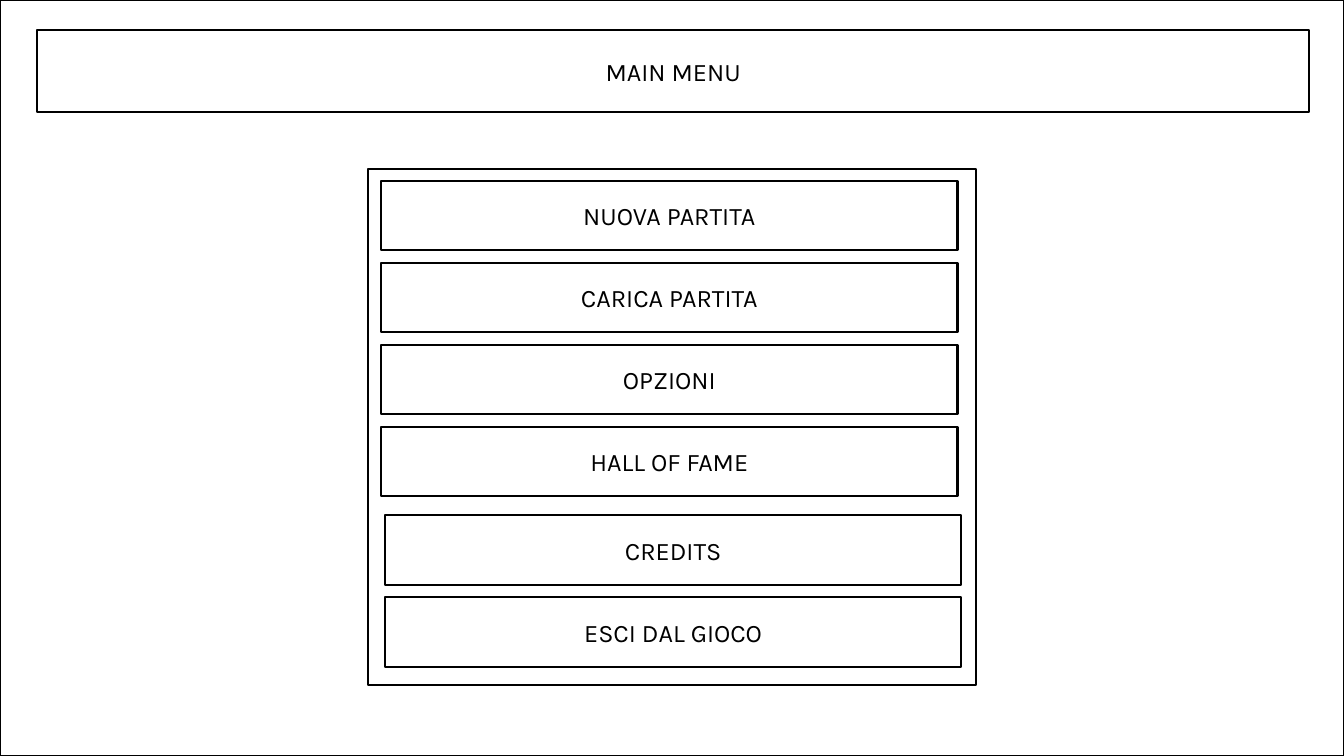
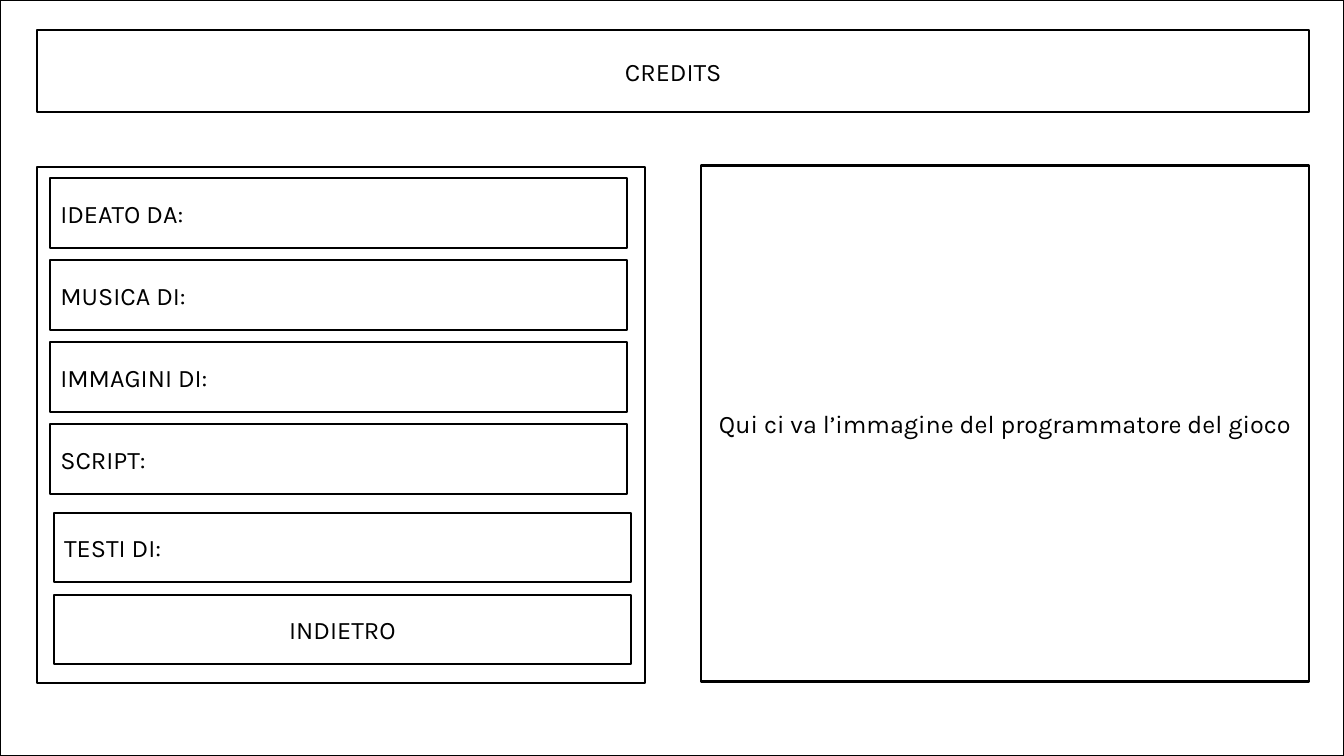
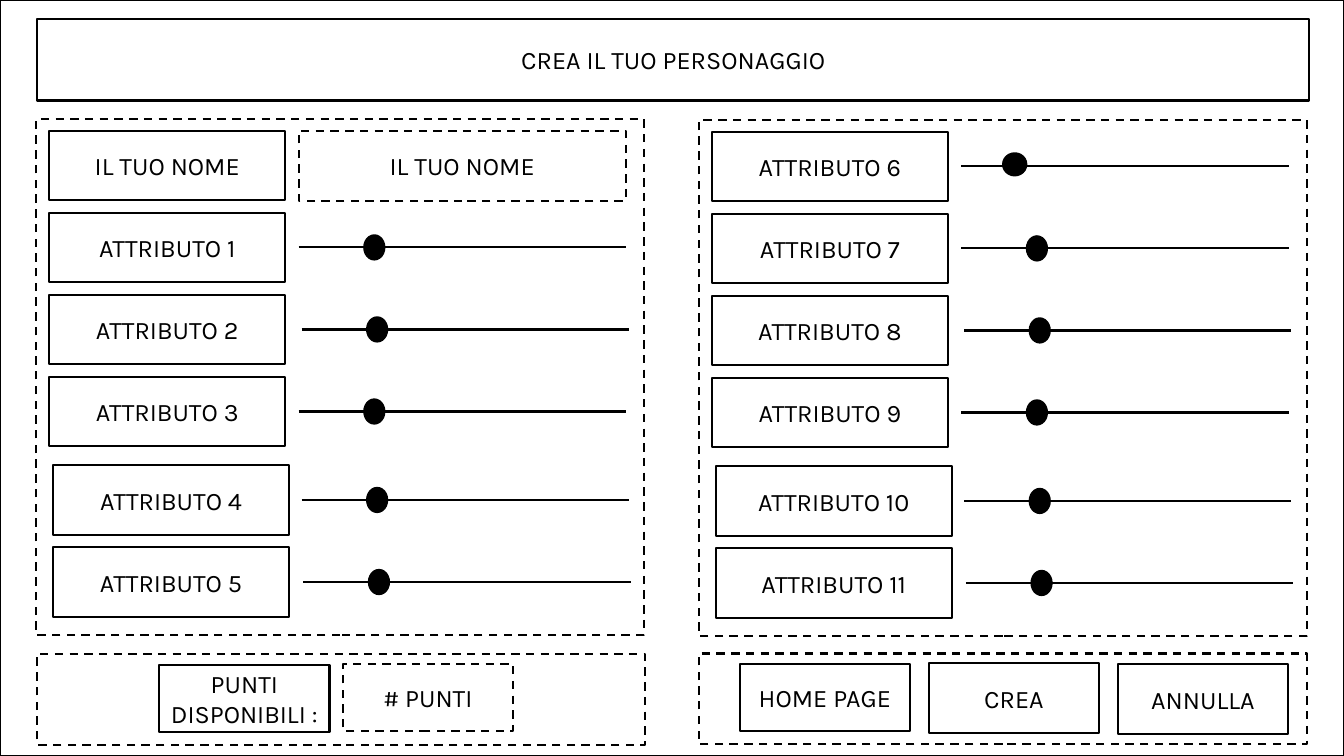
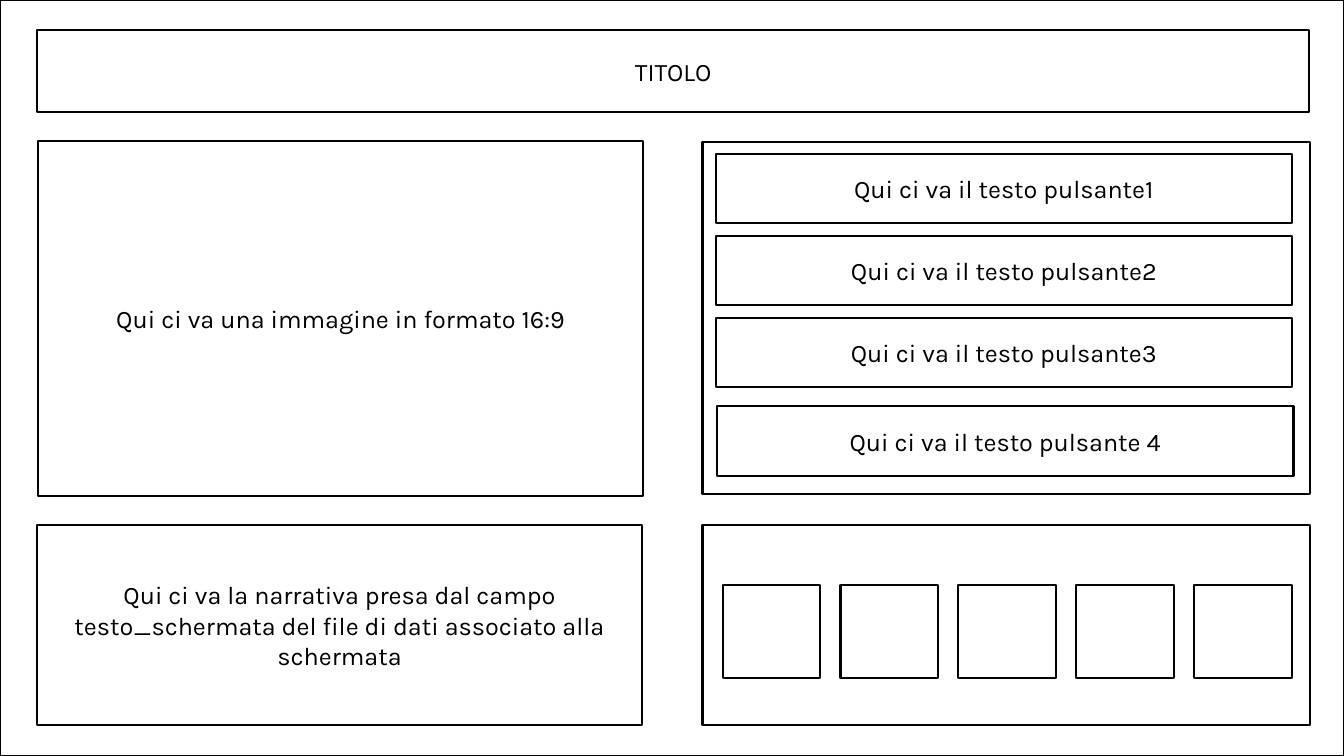
from pptx import Presentation
from pptx.dml.color import RGBColor
from pptx.enum.dml import MSO_LINE
from pptx.enum.shapes import MSO_CONNECTOR, MSO_SHAPE
from pptx.enum.text import MSO_ANCHOR, PP_ALIGN
from pptx.oxml.ns import qn
from pptx.util import Pt
from lxml import etree

RECT, OVAL = MSO_SHAPE.RECTANGLE, MSO_SHAPE.OVAL
LINE, DASH = MSO_CONNECTOR.STRAIGHT, MSO_LINE.DASH
LEFT, MID = PP_ALIGN.LEFT, PP_ALIGN.CENTER
CENTRE = MSO_ANCHOR.MIDDLE

COLOR = {"ink": "000000", "paper": "FFFFFF"}
FONT, SIZE, STROKE = "Karla", 18, 1.5
WIDE, HIGH = 960, 540
EDGE = 26.6                 # left margin
PANEL_W, PANEL_H = 434.2, 368.6
ROW_W, ROW_H = 411.8, 49.7
LABEL_W, TRACK_W = 168.5, 233.8
PAD_X, PAD_Y = 9.4, 8.3     # first row inside a panel
STEP, GAP = 58.6, 4.6       # row pitch, extra gap before the last rows


def rgb(name):
    return RGBColor.from_string(COLOR[name])


def draw(shapes, kind, x, y, w, h, fill="paper", dash=False):
    shape = shapes.add_shape(kind, Pt(x), Pt(y), Pt(w), Pt(h))
    shape.shadow.inherit = False
    shape.fill.solid()
    shape.fill.fore_color.rgb = rgb(fill)
    shape.line.color.rgb = rgb("ink")
    shape.line.width = Pt(STROKE)
    if dash:
        shape.line.dash_style = DASH
    return shape


def box(shapes, x, y, w, h, text="", align=MID, dash=False):
    shape = draw(shapes, RECT, x, y, w, h, dash=dash)
    if text:
        frame = shape.text_frame
        frame.text = text
        frame.word_wrap = True
        frame.vertical_anchor = CENTRE
        para = frame.paragraphs[0]
        para.alignment = align
        font = para.runs[0].font
        font.name, font.size = FONT, Pt(SIZE)
        font.color.rgb = rgb("ink")


def track(shapes, x, y, knob=46.8, w=14.4, h=17.3, lift=0):
    """Slider: a line from (x, y) with a round knob on it."""
    line = shapes.add_connector(LINE, Pt(x), Pt(y), Pt(x + TRACK_W), Pt(y))
    line.line.color.rgb = rgb("ink")
    line.line.width = Pt(STROKE)
    etree.SubElement(line._element.spPr, qn("a:effectLst"))
    draw(shapes, OVAL, x + knob, y - h / 2 - lift, w, h, fill="ink")


def spots(x, y, count, split=4, shift=2.7):
    """Row corners in a panel; rows from split on sit lower and to the right."""
    for i in range(count):
        late = i >= split
        yield (x + PAD_X + shift * late,
               y + PAD_Y + STEP * i + GAP * late)


def rows(shapes, x, y, items, h=PANEL_H, split=4, shift=2.7):
    """Panel with a stack of (text, alignment) buttons."""
    box(shapes, x, y, PANEL_W, h)
    for (left, top), (text, align) in zip(
            spots(x, y, len(items), split, shift), items):
        box(shapes, left, top, ROW_W, ROW_H, text, align)


def traits(shapes, x, y, names):
    """Dashed panel of labels, with a slider beside all but the first."""
    box(shapes, x, y, PANEL_W, PANEL_H, dash=True)
    places = list(spots(x, y, len(names)))
    for (left, top), name in zip(places, names):
        box(shapes, left, top, LABEL_W, ROW_H, name)
    starts = (187.5, 189.5, 187.5, 189.5, 190.8)
    for (left, top), start in zip(places[1:], starts):
        track(shapes, x + start, top + ROW_H / 2)


def strip(shapes, x, y, cells):
    """Dashed bar of (left, top, height, text, dash) cells."""
    box(shapes, x, y, PANEL_W, 64.8, dash=True)
    for left, top, h, text, dash in cells:
        box(shapes, x + left, y + top, 121.7, h, text, dash=dash)


def slots(shapes, x, y, count=5):
    """Panel with a row of empty squares."""
    box(shapes, x, y, PANEL_W, 142.6)
    for i in range(count):
        box(shapes, x + 14.4 + 84.2 * i, y + 42.5, 69.8, 67)


def page(deck, title, top=21.6):
    """New slide with its outer frame and title bar."""
    shapes = deck.slides.add_slide(deck.slide_layouts[6]).shapes
    box(shapes, 0, 0, WIDE, HIGH)
    box(shapes, EDGE, top, 908.6, 58.3, title)
    return shapes


def menu(deck):
    shapes = page(deck, "MAIN MENU")
    names = ("NUOVA PARTITA", "CARICA PARTITA", "OPZIONI",
             "HALL OF FAME", "CREDITS", "ESCI DAL GIOCO")
    rows(shapes, 262.8, 120.7, [(name, MID) for name in names])


def credits(deck):
    shapes = page(deck, "CREDITS")
    names = ("IDEATO DA:", "MUSICA DI:", "IMMAGINI DI:",
             "SCRIPT:", "TESTI DI:")
    items = [(name, LEFT) for name in names] + [("INDIETRO", MID)]
    rows(shapes, EDGE, 119, items)
    box(shapes, 500.8, 118.2, PANEL_W, PANEL_H,
        "Qui ci va l’immagine del programmatore del gioco")


def hero(deck):
    shapes = page(deck, "CREA IL TUO PERSONAGGIO", 13.5)
    right = 499.2
    # Bottom bars
    strip(shapes, EDGE, 467.2, [
        (87.1, 8, 47.5, "PUNTI DISPONIBILI :", False),
        (218.2, 7.2, 47.5, "# PUNTI", True)])
    strip(shapes, right, 466.8, [
        (29.2, 7.6, 47.5, "HOME PAGE", False),
        (164.2, 7, ROW_H, "CREA", False),
        (299.2, 7.6, ROW_H, "ANNULLA", False)])
    # Name and attributes 1 to 5
    group = shapes.add_group_shape().shapes
    traits(group, 25.9, 85,
           ["IL TUO NOME"] + [f"ATTRIBUTO {n}" for n in range(1, 6)])
    box(group, 213.3, 93.6, TRACK_W, ROW_H, "IL TUO NOME", dash=True)
    # Attributes 6 to 11
    group = shapes.add_group_shape().shapes
    traits(group, right, 85.7, [f"ATTRIBUTO {n}" for n in range(6, 12)])
    track(shapes, right + 187.5, 118.6, knob=29.8, w=16.6, h=15.8, lift=1.2)


def scene(deck):
    shapes = page(deck, "TITOLO")
    right, low = 501.8, 375.1
    # Picture and story
    box(shapes, 27.4, 100.8, 432, 253.4,
        "Qui ci va una immagine in formato 16:9")
    box(shapes, EDGE, low, 432, 142.6,
        "Qui ci va la narrativa presa dal campo testo_schermata "
        "del file di dati associato alla schermata")
    # Buttons and squares
    names = ("pulsante1", "pulsante2", "pulsante3", "pulsante 4")
    rows(shapes, right, 101.5,
         [(f"Qui ci va il testo {name}", MID) for name in names],
         h=251.3, split=3, shift=1)
    slots(shapes, right, low)


def main():
    deck = Presentation()
    deck.slide_width, deck.slide_height = Pt(WIDE), Pt(HIGH)
    for build in (menu, credits, hero, scene):
        build(deck)
    deck.save("out.pptx")


if __name__ == "__main__":
    main()
